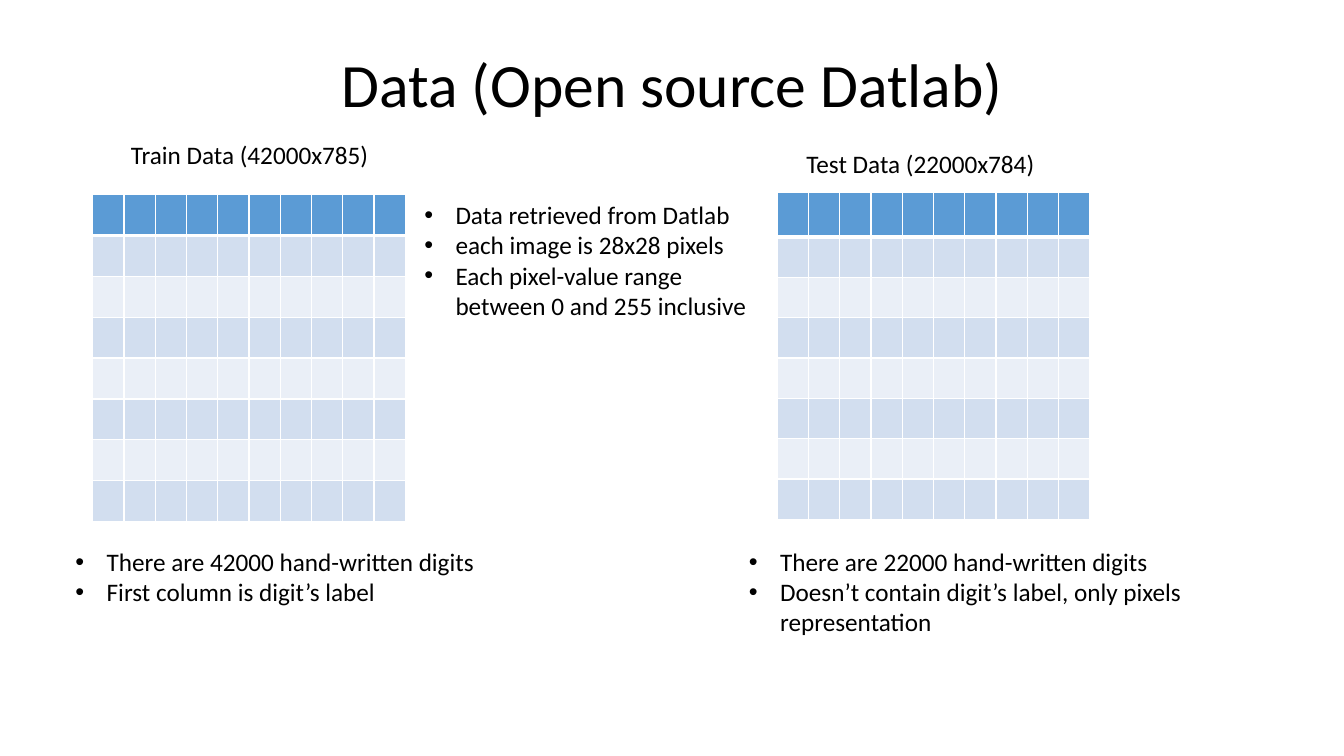
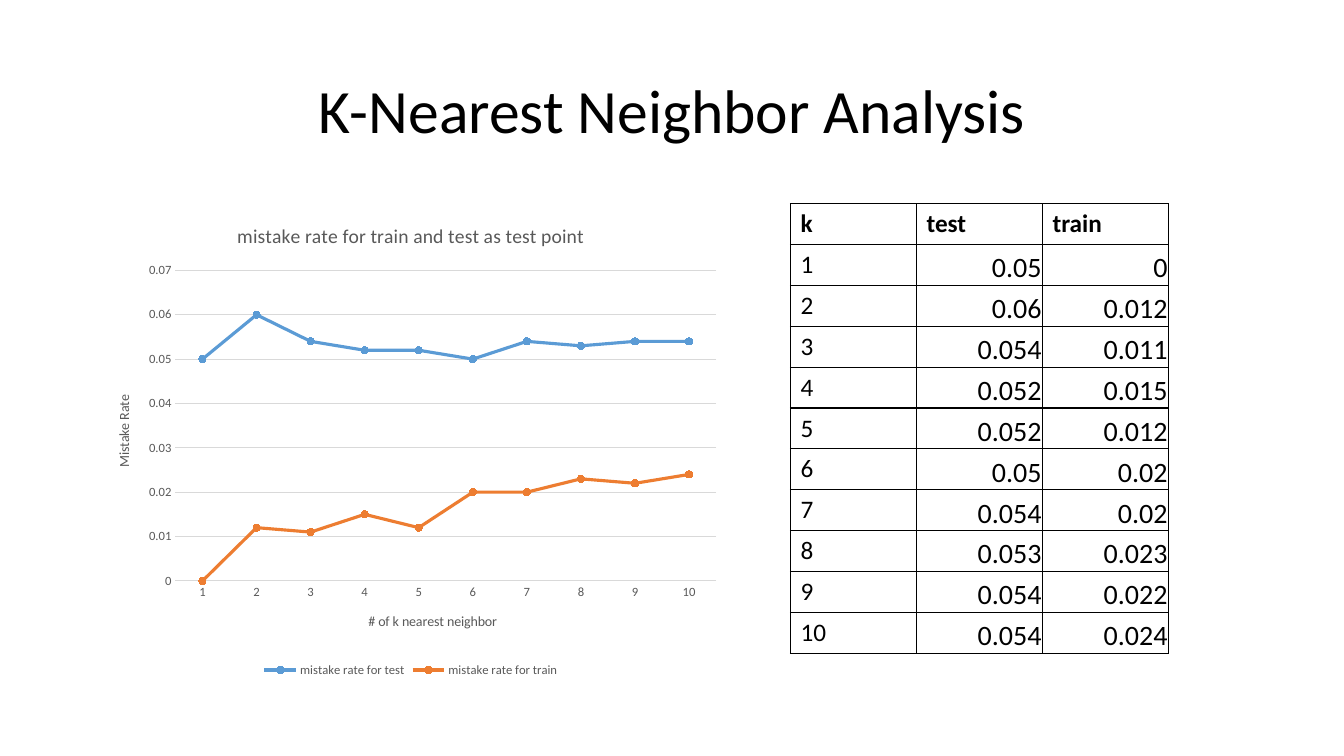
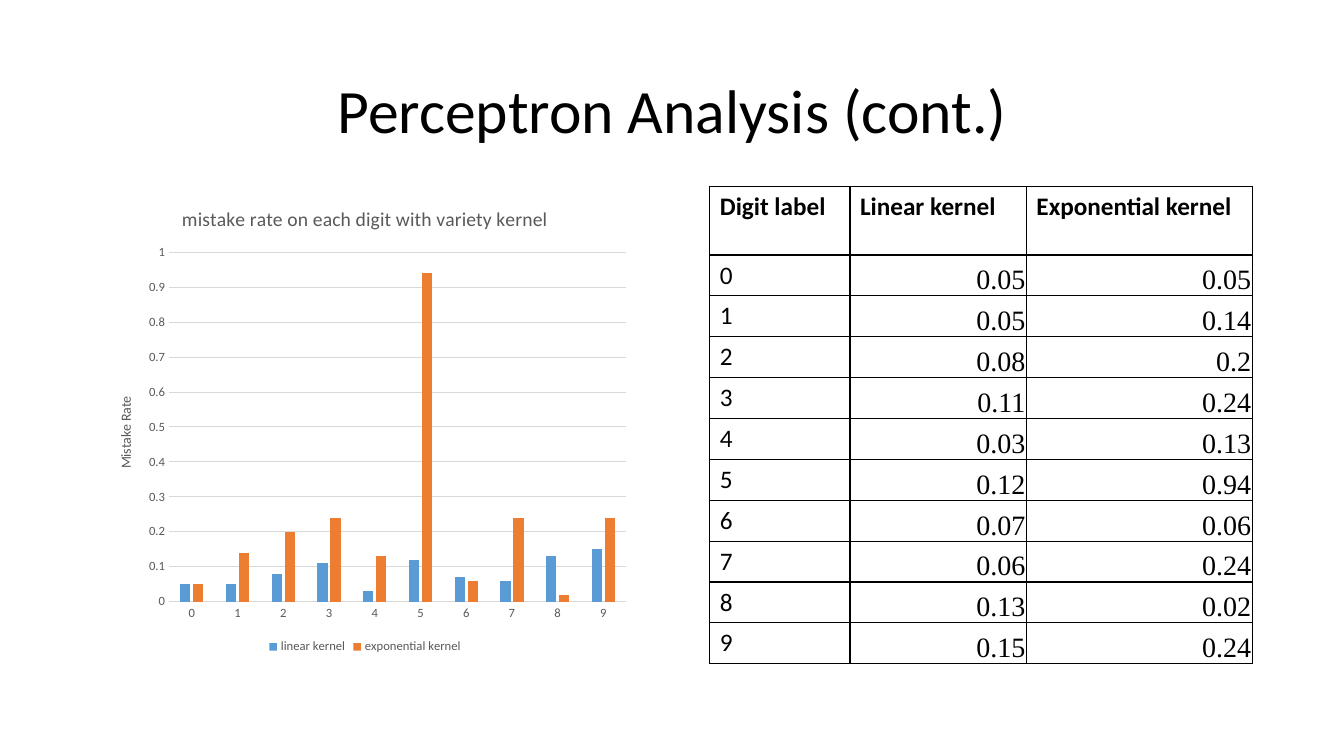
from lxml import etree
from pptx import Presentation
from pptx.chart.data import CategoryChartData
from pptx.dml.color import RGBColor
from pptx.enum.chart import XL_CHART_TYPE, XL_LEGEND_POSITION, XL_MARKER_STYLE, XL_TICK_MARK
from pptx.enum.text import MSO_ANCHOR, PP_ALIGN
from pptx.oxml.ns import qn
from pptx.util import Pt

# Scale: 100 px to the inch
PX = 9144
SLIDE_WIDTH, SLIDE_HEIGHT = 1333, 750
TITLE_ONLY_LAYOUT = 5

# Colours and fonts
BLACK = RGBColor(0x00, 0x00, 0x00)
WHITE = RGBColor(0xFF, 0xFF, 0xFF)
BLUE = RGBColor(0x5B, 0x9B, 0xD5)
ORANGE = RGBColor(0xED, 0x7D, 0x31)
DARK_BAND = RGBColor(0xD2, 0xDE, 0xEF)
LIGHT_BAND = RGBColor(0xEA, 0xEF, 0xF7)
GREY_TEXT = RGBColor(0x59, 0x59, 0x59)
GREY_LINE = RGBColor(0xD9, 0xD9, 0xD9)
SANS, SERIF = "Calibri", "Times New Roman"

# Enum members
LEFT, CENTER, RIGHT = PP_ALIGN.LEFT, PP_ALIGN.CENTER, PP_ALIGN.RIGHT
TOP, MIDDLE, BOTTOM = MSO_ANCHOR.TOP, MSO_ANCHOR.MIDDLE, MSO_ANCHOR.BOTTOM
LINE_CHART = XL_CHART_TYPE.LINE_MARKERS
COLUMN_CHART = XL_CHART_TYPE.COLUMN_CLUSTERED
LEGEND_BOTTOM = XL_LEGEND_POSITION.BOTTOM
CIRCLE = XL_MARKER_STYLE.CIRCLE
NO_TICK = XL_TICK_MARK.NONE

# Sizes
ROW_HEIGHT = 40
BULLET_INDENT = 31

# Mistake rates
NEIGHBORS = [str(k) for k in range(1, 11)]
TEST_RATES = [0.05, 0.06, 0.054, 0.052, 0.052, 0.05, 0.054, 0.053, 0.054, 0.054]
TRAIN_RATES = [0, 0.012, 0.011, 0.015, 0.012, 0.02, 0.02, 0.023, 0.022, 0.024]
DIGITS = [str(digit) for digit in range(10)]
LINEAR_RATES = [0.05, 0.05, 0.08, 0.11, 0.03, 0.12, 0.07, 0.06, 0.13, 0.15]
EXPONENTIAL_RATES = [0.05, 0.14, 0.2, 0.24, 0.13, 0.94, 0.06, 0.24, 0.02, 0.24]


def emu(*lengths):
    return [length * PX for length in lengths]


# Text
def set_font(font, size, color=BLACK, name=SANS, bold=False):
    font.size, font.name, font.bold = Pt(size), name, bold
    font.color.rgb = color


def add_bullet(para):
    properties = para._p.get_or_add_pPr()
    properties.set("marL", str(BULLET_INDENT * PX))
    properties.set("indent", str(-BULLET_INDENT * PX))
    etree.SubElement(properties, qn("a:buFont"), typeface="Arial")
    etree.SubElement(properties, qn("a:buChar"), char="•")


def write(frame, *lines, size=18, color=BLACK, font=SANS, bold=False,
          align=LEFT, spacing=None, bullets=False):
    for index, line in enumerate(lines):
        para = frame.add_paragraph() if index else frame.paragraphs[0]
        para.alignment = align
        if spacing:
            para.line_spacing = spacing
        if bullets:
            add_bullet(para)
        span = para.add_run()
        span.text = line
        set_font(span.font, size, color, font, bold)


def add_text(page, left, top, width, height, *lines, wrap=True, **style):
    box = page.shapes.add_textbox(*emu(left, top, width, height))
    box.text_frame.word_wrap = wrap
    write(box.text_frame, *lines, **style)


def add_page(deck, title, title_height=145):
    page = deck.slides.add_slide(deck.slide_layouts[TITLE_ONLY_LAYOUT])
    holder = page.shapes.title
    holder.left, holder.top, holder.width, holder.height = emu(92, 40, 1150, title_height)
    holder.text_frame.vertical_anchor = MIDDLE
    write(holder.text_frame, title, size=44, align=CENTER, spacing=0.9)
    return page


# Tables
def set_borders(cell, color, top=1, bottom=1):
    properties = cell._tc.get_or_add_tcPr()
    widths = {"a:lnL": 1, "a:lnR": 1, "a:lnT": top, "a:lnB": bottom}
    for position, (side, width) in enumerate(widths.items()):
        line = etree.Element(qn(side), w=str(Pt(width)))
        fill = etree.SubElement(line, qn("a:solidFill"))
        etree.SubElement(fill, qn("a:srgbClr"), val=str(color))
        properties.insert(position, line)


def add_grid(page, left, top, column_widths, row_heights):
    size = emu(left, top, sum(column_widths), sum(row_heights))
    table = page.shapes.add_table(len(row_heights), len(column_widths), *size).table
    table.first_row = table.horz_banding = False
    for column, width in zip(table.columns, column_widths):
        column.width = width * PX
    for row, height in zip(table.rows, row_heights):
        row.height = height * PX
    return table


def add_pixel_table(page, left, top, header_height=ROW_HEIGHT):
    table = add_grid(page, left, top, [31] * 10, [header_height] + [ROW_HEIGHT] * 7)
    for index, row in enumerate(table.rows):
        band = DARK_BAND if index % 2 else LIGHT_BAND
        for cell in row.cells:
            cell.fill.solid()
            cell.fill.fore_color.rgb = band if index else BLUE
            set_borders(cell, WHITE, top=3 if index == 1 else 1, bottom=1 if index else 3)


def add_rate_table(page, left, top, column_widths, headers, columns,
                   header_height=ROW_HEIGHT, value_font=SANS):
    rows = [headers, *zip(*columns)]
    heights = [header_height] + [ROW_HEIGHT] * (len(rows) - 1)
    table = add_grid(page, left, top, column_widths, heights)
    for row_index, row in enumerate(rows):
        for column_index, value in enumerate(row):
            cell = table.cell(row_index, column_index)
            cell.fill.background()
            set_borders(cell, BLACK)
            if row_index and column_index:
                cell.margin_left = cell.margin_top = cell.margin_right = PX
                cell.margin_bottom = 0
                cell.vertical_anchor = BOTTOM
                write(cell.text_frame, str(value), size=20, font=value_font, align=RIGHT)
            else:
                cell.vertical_anchor = TOP
                write(cell.text_frame, value, bold=row_index == 0)


# Charts
def set_plot_area(chart, x, y, w, h):
    area = chart._chartSpace.chart.plotArea
    for old in area.findall(qn("c:layout")):
        area.remove(old)
    layout = etree.Element(qn("c:layout"))
    manual = etree.SubElement(layout, qn("c:manualLayout"))
    settings = {"layoutTarget": "inner", "xMode": "edge", "yMode": "edge",
                "x": x, "y": y, "w": w, "h": h}
    for tag, value in settings.items():
        etree.SubElement(manual, qn(f"c:{tag}"), val=str(value))
    area.insert(0, layout)


def style_axis(axis, title=None):
    axis.major_tick_mark = axis.minor_tick_mark = NO_TICK
    set_font(axis.tick_labels.font, 9, GREY_TEXT)
    axis.has_title = title is not None
    if title:
        write(axis.axis_title.text_frame, title, size=10, color=GREY_TEXT, align=CENTER)


def style_series(series, color, is_line):
    if not is_line:
        series.format.fill.solid()
        series.format.fill.fore_color.rgb = color
        return
    series.smooth = False
    series.format.line.width = Pt(2.25)
    series.format.line.color.rgb = color
    series.marker.style, series.marker.size = CIRCLE, 5
    series.marker.format.fill.solid()
    series.marker.format.fill.fore_color.rgb = color
    series.marker.format.line.color.rgb = color


def add_rate_chart(page, kind, left, top, width, height, title, categories, rates,
                   maximum, step, plot_area, category_title=None):
    data = CategoryChartData()
    data.categories = categories
    for name, values in rates.items():
        data.add_series(name, values)
    chart = page.shapes.add_chart(kind, *emu(left, top, width, height), data).chart
    set_font(chart.font, 10)
    chart.has_title = True
    write(chart.chart_title.text_frame, title, size=14, color=GREY_TEXT, align=CENTER)
    chart.chart_title.include_in_layout = False
    chart.has_legend = True
    chart.legend.position = LEGEND_BOTTOM
    chart.legend.include_in_layout = False
    set_font(chart.legend.font, 9, GREY_TEXT)

    # Axes
    style_axis(chart.category_axis, category_title)
    chart.category_axis.format.line.color.rgb = GREY_LINE
    chart.category_axis.format.line.width = Pt(0.75)
    axis = chart.value_axis
    style_axis(axis, "Mistake Rate")
    axis.minimum_scale, axis.maximum_scale, axis.major_unit = 0, maximum, step
    axis.tick_labels.number_format = "General"
    axis.tick_labels.number_format_is_linked = False
    axis.format.line.fill.background()
    axis.major_gridlines.format.line.color.rgb = GREY_LINE
    axis.major_gridlines.format.line.width = Pt(0.75)

    # Series
    plot = chart.plots[0]
    plot.vary_by_categories = False
    if kind == COLUMN_CHART:
        plot.gap_width, plot.overlap = 219, -27
    for series, color in zip(plot.series, (BLUE, ORANGE)):
        style_series(series, color, kind == LINE_CHART)
    set_plot_area(chart, *plot_area)


# Slides
def add_data_page(deck):
    page = add_page(deck, "Data (Open source Datlab)", title_height=93)
    add_pixel_table(page, 92, 193)
    add_text(page, 120, 133, 258, 40, "Train Data (42000x785)", wrap=False)
    add_pixel_table(page, 771, 191, header_height=44)
    add_text(page, 790, 142, 249, 40, "Test Data (22000x784)", wrap=False)
    add_text(page, 411, 193, 350, 131, "Data retrieved from Datlab",
             "each image is 28x28 pixels",
             "Each pixel-value range between 0 and 255 inclusive", bullets=True)
    add_text(page, 65, 537, 421, 71, "There are 42000 hand-written digits",
             "First column is digit’s label", wrap=False, bullets=True)
    add_text(page, 733, 537, 495, 101, "There are 22000 hand-written digits",
             "Doesn’t contain digit’s label, only pixels representation", bullets=True)


def add_neighbor_page(deck):
    page = add_page(deck, "K-Nearest Neighbor Analysis")
    add_rate_chart(page, LINE_CHART, 92, 202, 631, 474,
                   "mistake rate for train and test as test point", NEIGHBORS,
                   {"mistake rate for test": TEST_RATES,
                    "mistake rate for train": TRAIN_RATES},
                   maximum=0.07, step=0.01, plot_area=(0.13, 0.14, 0.85, 0.65),
                   category_title="# of k nearest neighbor")
    add_rate_table(page, 784, 202, [125] * 3, ["k", "test", "train"],
                   [NEIGHBORS, TEST_RATES, TRAIN_RATES])


def add_perceptron_page(deck):
    page = add_page(deck, "Perceptron Analysis (cont.)")
    add_rate_chart(page, COLUMN_CHART, 92, 185, 540, 468,
                   "mistake rate on each digit with variety kernel", DIGITS,
                   {"linear kernel": LINEAR_RATES,
                    "exponential kernel": EXPONENTIAL_RATES},
                   maximum=1, step=0.1, plot_area=(0.14, 0.14, 0.84, 0.74))
    add_rate_table(page, 704, 185, [139, 175, 224],
                   ["Digit label", "Linear kernel", "Exponential kernel"],
                   [DIGITS, LINEAR_RATES, EXPONENTIAL_RATES],
                   header_height=68, value_font=SERIF)


def main():
    deck = Presentation()
    deck.slide_width, deck.slide_height = emu(SLIDE_WIDTH, SLIDE_HEIGHT)
    add_data_page(deck)
    add_neighbor_page(deck)
    add_perceptron_page(deck)
    deck.save("out.pptx")


if __name__ == "__main__":
    main()
